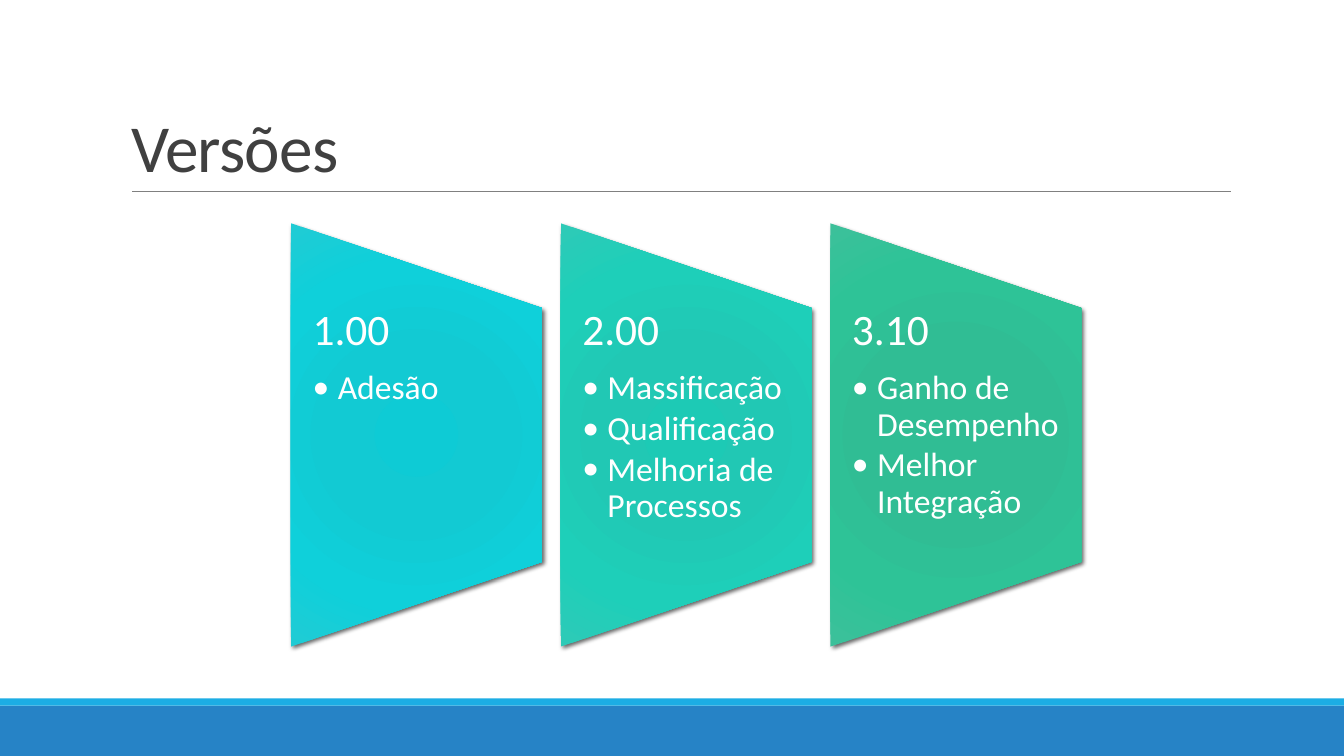
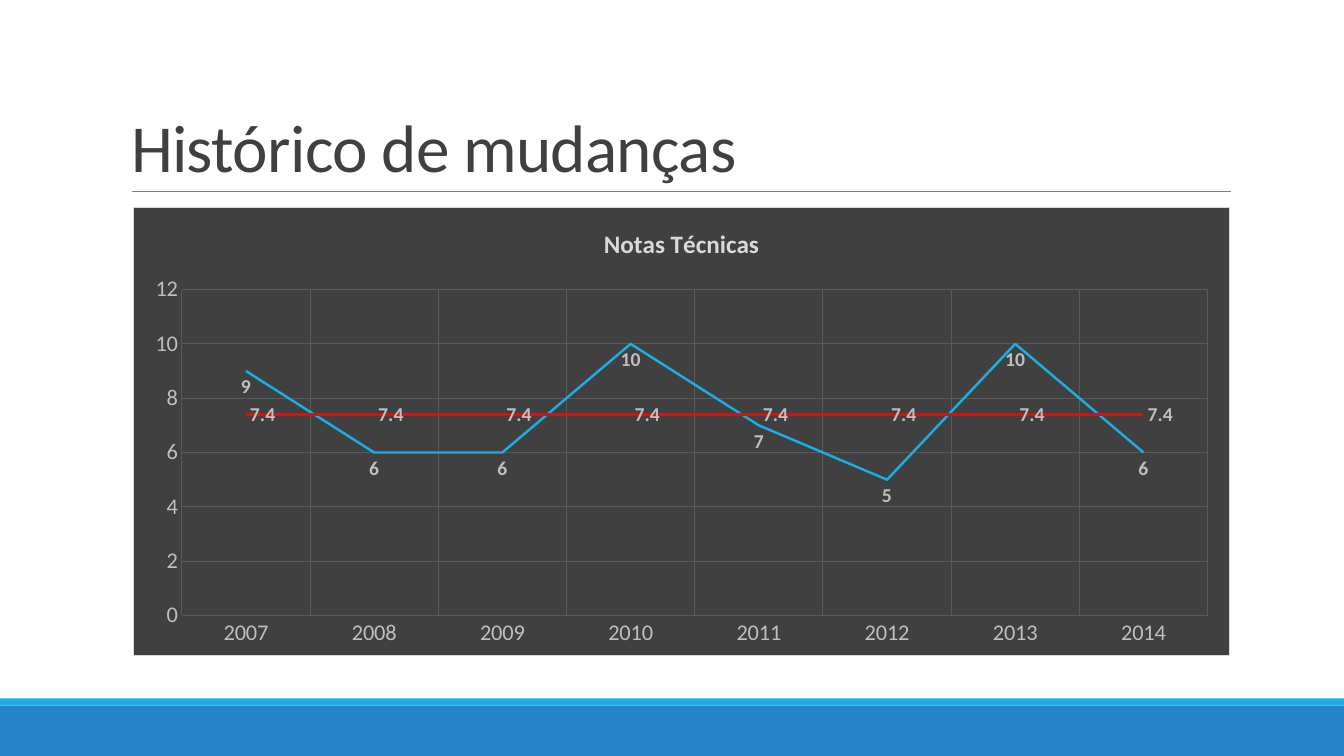
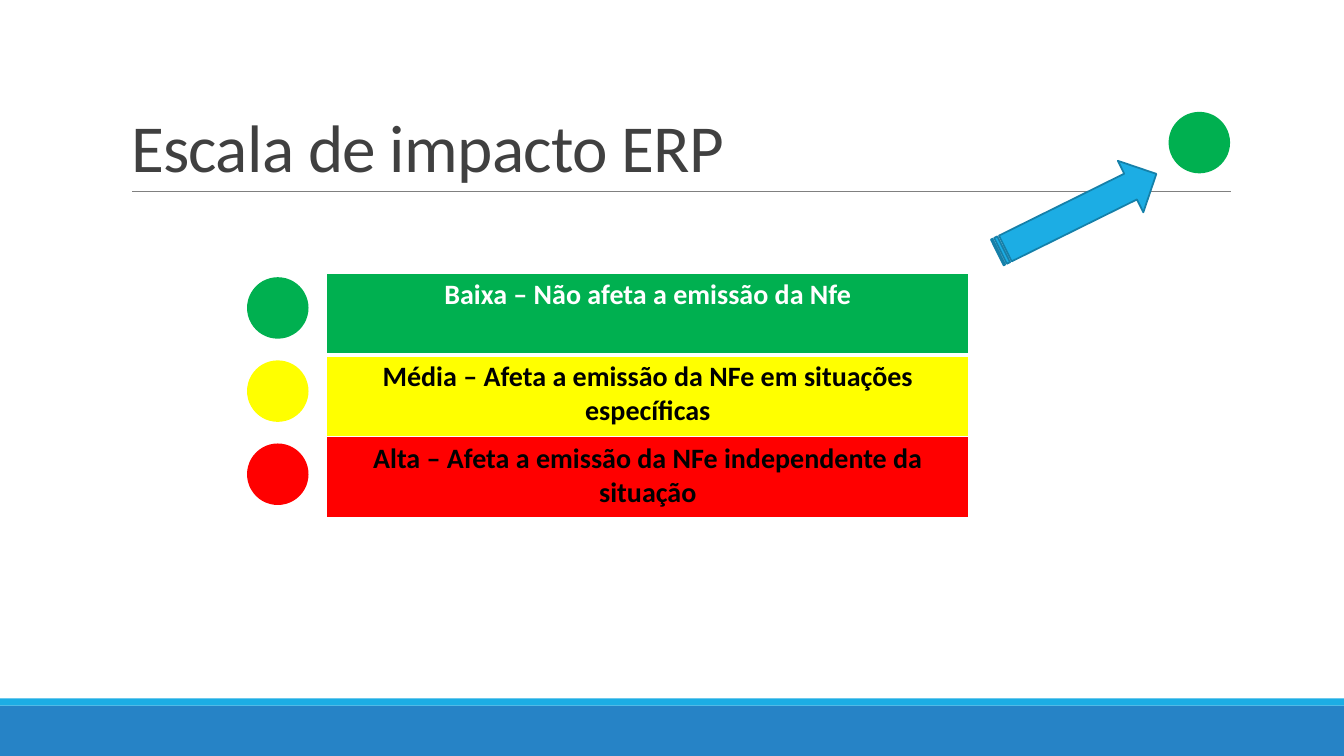
import pptx
import pptx.util
import pptx.oxml
import pptx.oxml.ns
import pptx.chart.data
import pptx.dml.color
import pptx.enum.chart
import pptx.enum.shapes
import pptx.enum.text

Inches, Pt = pptx.util.Inches, pptx.util.Pt
RGB = pptx.dml.color.RGBColor
SHAPE = pptx.enum.shapes.MSO_SHAPE
ALIGN = pptx.enum.text.PP_ALIGN
qn = pptx.oxml.ns.qn

FONT = "Calibri"
WHITE, BLACK = RGB(255, 255, 255), RGB(0, 0, 0)
BLUE, CYAN, TEAL = RGB(0x26, 0x83, 0xC6), RGB(0x1C, 0xAD, 0xE4), RGB(0x15, 0x80, 0xA9)
DARK, GRID, GRAY = RGB(0x40, 0x40, 0x40), RGB(0x59, 0x59, 0x59), RGB(0x80, 0x80, 0x80)
SILVER, LIGHT = RGB(0xBF, 0xBF, 0xBF), RGB(0xD9, 0xD9, 0xD9)
GREEN, YELLOW, RED = RGB(0, 0xB0, 0x50), RGB(255, 255, 0), RGB(255, 0, 0)

VERSIONS = [
    ("1.00", ["Adesão"], ["0ECBD5", "12CAD3", "0FD0DA", "20CBD4"]),
    ("2.00", ["Massificação", "Qualificação", "Melhoria de Processos"],
     ["1DCAB5", "21C8B4", "1ECFB9", "2ECAB7"]),
    ("3.10", ["Ganho de Desempenho", "Melhor Integração"],
     ["2DBE94", "30BD94", "2EC397", "3CC09A"]),
]
STOPS = [0, 34, 70, 100]

YEARS = [str(year) for year in range(2007, 2015)]
POSITION = pptx.enum.chart.XL_LABEL_POSITION
SERIES = [
    ("Series 1", [9, 6, 6, 10, 7, 5, 10, 6], CYAN, POSITION.BELOW, "General"),
    ("Series 2", [7.4] * len(YEARS), RED, POSITION.RIGHT, "#,##0.0"),
]

IMPACTS = [
    ("Baixa – Não afeta a emissão da Nfe", GREEN, WHITE, 3),
    ("Média – Afeta a emissão da NFe em situações específicas", YELLOW, BLACK, 1),
    ("Alta – Afeta a emissão da NFe independente da situação", RED, BLACK, 1),
]


def xml(tag, body="", **attrs):
    extra = "".join(f' {name}="{value}"' for name, value in attrs.items())
    return pptx.oxml.parse_xml(
        f'<{tag} {pptx.oxml.ns.nsdecls("a", "c")}{extra}>{body}</{tag}>')


def solid(color):
    return f'<a:solidFill><a:srgbClr val="{color}"/></a:solidFill>'


def style(font, size, color, bold=False):
    font.name, font.size, font.bold = FONT, Pt(size), bold
    font.color.rgb = color


def add_shape(s, kind, x, y, w, h, fill=None):
    sp = s.shapes.add_shape(kind, Inches(x), Inches(y), Inches(w), Inches(h))
    sp.shadow.inherit = False
    sp.line.fill.background()
    if fill is None:
        sp.fill.background()
    else:
        sp.fill.solid()
        sp.fill.fore_color.rgb = fill
    return sp


def add_slide(prs, title):
    s = prs.slides.add_slide(prs.slide_layouts[5])
    sp = s.shapes.title
    sp.left, sp.top, sp.width, sp.height = Inches(1.2), Inches(0.31), Inches(11), Inches(1.59)
    tf = sp.text_frame
    tf.text = title
    tf.auto_size = pptx.enum.text.MSO_AUTO_SIZE.NONE
    tf.vertical_anchor = pptx.enum.text.MSO_ANCHOR.BOTTOM
    p = tf.paragraphs[0]
    p.alignment, p.line_spacing = ALIGN.LEFT, 0.85
    r = p.runs[0]
    style(r.font, 48, DARK)
    r._r.get_or_add_rPr().set("spc", "-50")
    return s


def decorate_layout(layout, s):
    for ph in list(layout.placeholders):
        if ph.placeholder_format.type != pptx.enum.shapes.PP_PLACEHOLDER.TITLE:
            ph.element.getparent().remove(ph.element)
    line = s.shapes.add_connector(pptx.enum.shapes.MSO_CONNECTOR.STRAIGHT,
                                  Inches(1.31), Inches(1.9), Inches(12.21), Inches(1.9))
    line.line.color.rgb, line.line.width = GRAY, Pt(0.5)
    line.element.spPr.append(xml("a:effectLst"))
    shared = [add_shape(s, SHAPE.RECTANGLE, 0, 7, 13.33, 0.5, BLUE),
              add_shape(s, SHAPE.RECTANGLE, 0, 6.93, 13.33, 0.07, CYAN), line]
    for sp in shared:
        layout.shapes.element.append(sp.element)


def add_version(s, x, version, items, colors):
    sp = add_shape(s, SHAPE.FLOWCHART_MANUAL_OPERATION, x, 3.07, 4.2, 2.49)
    sp.rotation = 270
    stops = "".join(f'<a:gs pos="{pos * 1000}"><a:srgbClr val="{color}"/></a:gs>'
                    for pos, color in zip(STOPS, colors))
    spPr = sp.element.spPr
    spPr.replace(spPr.find(qn("a:noFill")), xml(
        "a:gradFill", f'<a:gsLst>{stops}</a:gsLst><a:path path="circle">'
        '<a:fillToRect l="100000" t="100000" r="100000" b="100000"/></a:path>', rotWithShape=1))
    spPr.find(qn("a:effectLst")).append(xml(
        "a:outerShdw", '<a:srgbClr val="000000"><a:alpha val="60000"/></a:srgbClr>',
        blurRad=Pt(3), dist=Pt(2), dir=45 * 60000, algn="ctr", rotWithShape=0))

    box = s.shapes.add_textbox(Inches(x + 0.85), Inches(3.06), Inches(2.49), Inches(2.52))
    tf = box.text_frame
    tf.word_wrap = True
    tf.margin_left, tf.margin_right = Inches(0.22), Inches(0.1)
    tf.margin_top = tf.margin_bottom = 0
    tf.text = "\n".join([version] + items)
    for i, p in enumerate(tf.paragraphs):
        p.line_spacing = 0.9
        p.space_after = Pt(3.2 if i else 11)
        if i:
            pPr = p._p.get_or_add_pPr()
            pPr.set("marL", str(Inches(0.25)))
            pPr.set("indent", str(-Inches(0.25)))
            pPr.append(xml("a:buFont", typeface=FONT))
            pPr.append(xml("a:buChar", char="•"))
        style(p.runs[0].font, 24 if i else 31, WHITE)


def add_history(s):
    data = pptx.chart.data.CategoryChartData()
    data.categories = YEARS
    for name, values, *_ in SERIES:
        data.add_series(name, values)
    chart = s.shapes.add_chart(pptx.enum.chart.XL_CHART_TYPE.LINE, Inches(1.32), Inches(2.05),
                               Inches(10.88), Inches(4.46), data).chart
    style(chart.font, 10, BLACK)
    chart.element.find(qn("c:chart")).addnext(xml(
        "c:spPr", f'{solid(DARK)}<a:ln w="{Pt(0.75)}">{solid(LIGHT)}</a:ln>'))
    chart.has_legend = False
    chart.has_title = True
    tf = chart.chart_title.text_frame
    tf.text = "Notas Técnicas"
    style(tf.paragraphs[0].runs[0].font, 18, LIGHT, True)
    for axis in (chart.category_axis, chart.value_axis):
        axis.major_tick_mark = axis.minor_tick_mark = pptx.enum.chart.XL_TICK_MARK.NONE
        style(axis.tick_labels.font, 16, SILVER)
        axis.format.line.fill.background()
        axis.has_major_gridlines = True
        grid = axis.major_gridlines.format.line
        grid.color.rgb, grid.width = GRID, Pt(0.75)
    axis = chart.value_axis
    axis.minimum_scale, axis.maximum_scale, axis.major_unit = 0, 12, 2
    plot = chart.plots[0]
    plot.vary_by_categories = False
    for series, (_, _, color, position, number_format) in zip(plot.series, SERIES):
        series.smooth = False
        series.format.line.color.rgb, series.format.line.width = color, Pt(1.75)
        labels = series.data_labels
        labels.show_value, labels.position = True, position
        labels.number_format, labels.number_format_is_linked = number_format, False
        style(labels.font, 14, SILVER, True)


def add_dot(s, x, y, color):
    add_shape(s, SHAPE.OVAL, x, y, 0.61, 0.61, color)


def add_impacts(s):
    table = s.shapes.add_table(len(IMPACTS), 1, Inches(3.24), Inches(2.71),
                               Inches(6.37), Inches(2.43)).table
    table.first_row = table.horz_banding = False
    for i, (text, fill, color, bottom) in enumerate(IMPACTS):
        cell = table.cell(i, 0)
        cell.text = text
        cell.fill.solid()
        cell.fill.fore_color.rgb = fill
        p = cell.text_frame.paragraphs[0]
        p.alignment = ALIGN.CENTER
        style(p.runs[0].font, 20, color, True)
        tcPr = cell._tc.get_or_add_tcPr()
        for k, (side, width) in enumerate(zip("LRTB", (1, 1, 1, bottom))):
            tcPr.insert(k, xml(f"a:ln{side}", solid(WHITE), w=Pt(width)))
        add_dot(s, 2.45, 2.75 + 1.65 / 2 * i, fill)
    add_dot(s, 11.59, 1.11, GREEN)
    arrow = add_shape(s, SHAPE.STRIPED_RIGHT_ARROW, 9.8, 1.83, 1.76, 0.57, CYAN)
    arrow.rotation = 333.7
    arrow.line.color.rgb, arrow.line.width = TEAL, Pt(1.25)


def main():
    prs = pptx.Presentation()
    prs.slide_width, prs.slide_height = Inches(13.33), Inches(7.5)
    s = add_slide(prs, "Versões")
    decorate_layout(prs.slide_layouts[5], s)
    for i, version in enumerate(VERSIONS):
        add_version(s, 2.03 + 5.35 / 2 * i, *version)
    add_history(add_slide(prs, "Histórico de mudanças"))
    add_impacts(add_slide(prs, "Escala de impacto ERP"))
    prs.save("out.pptx")


if __name__ == "__main__":
    main()
